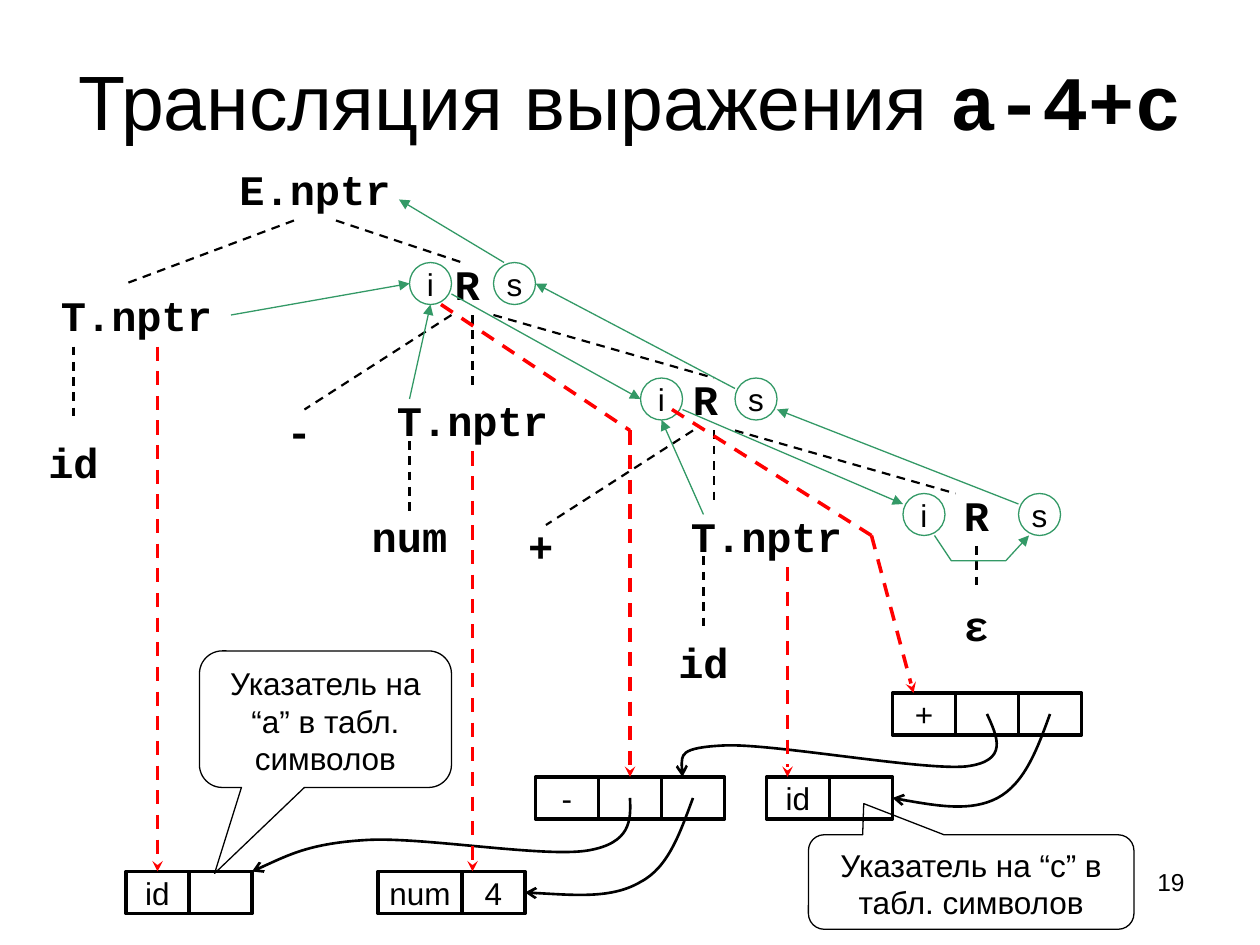
"""Build a slide showing the translation of a-4+c into a syntax tree."""
import pptx
import pptx.dml.color
import pptx.enum.dml
import pptx.enum.shapes
import pptx.enum.text
import pptx.oxml
import pptx.oxml.ns
import pptx.util

BLACK = pptx.dml.color.RGBColor(0x00, 0x00, 0x00)
RED = pptx.dml.color.RGBColor(0xFF, 0x00, 0x00)
GREEN = pptx.dml.color.RGBColor(0x33, 0x99, 0x66)
SHAPE = pptx.enum.shapes.MSO_SHAPE
ALIGN = pptx.enum.text.PP_ALIGN
ANCHOR = pptx.enum.text.MSO_ANCHOR
qn = pptx.oxml.ns.qn


class Sketch:
    """Holds the style and the current slide."""

    scale = 7620
    sans = "Arial"
    mono = "Courier New"

    def __init__(self, page):
        self.page = page

    def emu(self, *lengths):
        return [pptx.util.Emu(length * self.scale) for length in lengths]

    def add_text(self, frame, spans, align=ALIGN.CENTER, anchor=ANCHOR.MIDDLE, wrap=False):
        frame.word_wrap = wrap
        frame.vertical_anchor = anchor
        para = frame.paragraphs[0]
        para.alignment = align
        for text, font, size, bold in spans:
            span = para.add_run()
            span.text = text
            span.font.name = font
            span.font.size = pptx.util.Pt(size)
            span.font.bold = bold
            span.font.color.rgb = BLACK

    def title(self, frame_at, spans):
        box = self.page.shapes.title
        box.left, box.top, box.width, box.height = self.emu(*frame_at)
        frame = box.text_frame
        frame.margin_left = frame.margin_right = 0
        self.add_text(frame, spans, wrap=True)

    def page_number(self, frame_at, text):
        box = self.page.shapes.add_textbox(*self.emu(*frame_at))
        self.add_text(box.text_frame, [(text, self.sans, 14, False)], ALIGN.RIGHT, ANCHOR.TOP, True)

    def symbol(self, text, x, y):
        width = 24 * len(text) + 24
        box = self.page.shapes.add_textbox(*self.emu(x - width // 2, y - 30, width, 60))
        self.add_text(box.text_frame, [(text, self.mono, 24, True)])

    def stroke(self, item, color, width, dashed=False, head=None):
        item.line.color.rgb = color
        item.line.width = pptx.util.Pt(width)
        if dashed:
            item.line.dash_style = pptx.enum.dml.MSO_LINE.DASH
        if head:
            tail = pptx.oxml.parse_xml(f'<a:tailEnd {pptx.oxml.ns.nsdecls("a")} type="{head}"/>')
            item._element.spPr.find(qn("a:ln")).append(tail)

    def outline(self, kind, frame_at, color, width, text="", **layout):
        shape = self.page.shapes.add_shape(kind, *self.emu(*frame_at))
        shape.shadow.inherit = False
        shape.fill.background()
        self.stroke(shape, color, width)
        if text:
            self.add_text(shape.text_frame, [(text, self.sans, 18, False)], **layout)
        return shape

    def circle(self, text, x, y):
        self.outline(SHAPE.OVAL, (x, y, 40, 40), GREEN, 0.75, text)

    def record(self, x, y, labels):
        for label in labels:
            width = 80 if len(label) > 2 else 60
            self.outline(SHAPE.RECTANGLE, (x, y, width, 40), BLACK, 2, label)
            x += width

    def callout(self, frame_at, text, tip):
        shape = self.outline(SHAPE.ROUNDED_RECTANGULAR_CALLOUT, frame_at, BLACK, 0.75, text,
                             anchor=ANCHOR.TOP, wrap=True)
        shape.adjustments[0], shape.adjustments[1] = tip

    def link(self, ends, color, width, dashed=False, head=None):
        straight = pptx.enum.shapes.MSO_CONNECTOR.STRAIGHT
        line = self.page.shapes.add_connector(straight, *self.emu(*ends))
        self.stroke(line, color, width, dashed, head)
        effects = pptx.oxml.parse_xml(f'<a:effectLst {pptx.oxml.ns.nsdecls("a")}/>')
        line._element.spPr.append(effects)

    def route(self, points, color, width, head, curved=False):
        start, *rest = [self.emu(*point) for point in points]
        builder = self.page.shapes.build_freeform(*start)
        builder.add_line_segments(rest, close=False)
        shape = builder.convert_to_shape()
        shape.shadow.inherit = False
        shape.fill.background()
        self.stroke(shape, color, width, head=head)
        if curved:
            steps = list(shape._element.iter(qn("a:lnTo")))
            for first in range(0, len(steps), 3):
                curve = pptx.oxml.parse_xml(f'<a:cubicBezTo {pptx.oxml.ns.nsdecls("a")}/>')
                steps[first].addprevious(curve)
                for step in steps[first:first + 3]:
                    curve.append(step[0])
                    step.getparent().remove(step)


SYMBOLS = [
    ("E.nptr", 300, 180), ("T.nptr", 130, 300), ("id", 70, 440), ("R", 445, 270),
    ("T.nptr", 450, 400), ("-", 285, 410), ("num", 390, 510), ("R", 672, 380),
    ("+", 515, 520), ("T.nptr", 730, 510), ("id", 670, 630), ("R", 930, 490), ("ε", 930, 595),
]
BRANCHES = [
    (280, 210, 120, 270), (320, 210, 440, 250), (70, 330, 70, 400),
    (430, 300, 290, 390), (470, 300, 680, 360), (450, 300, 450, 370), (390, 420, 390, 490),
    (660, 410, 520, 500), (700, 410, 910, 470), (680, 410, 680, 480), (670, 530, 670, 600),
    (930, 520, 930, 560),
]
NODE_POINTERS = [
    ((150, 330, 150, 830), "stealth"), ((450, 430, 450, 830), "stealth"),
    ((420, 290, 600, 410), None), ((600, 410, 600, 740), "stealth"),
    ((640, 390, 830, 510), None), ((830, 510, 870, 660), "stealth"),
    ((750, 540, 750, 740), "stealth"),
]
ATTRIBUTE_FLOWS = [
    (220, 300, 390, 270), (390, 380, 410, 290), (430, 280, 610, 380),
    (670, 490, 630, 400), (650, 390, 860, 480), (480, 250, 380, 190),
    (700, 370, 510, 270), (970, 480, 740, 390),
]
CIRCLES = [
    ("i", 390, 250), ("s", 470, 250), ("i", 610, 360),
    ("s", 700, 360), ("i", 860, 470), ("s", 970, 470),
]
RECORDS = [
    (120, 830, ["id", ""]), (360, 830, ["num", "4"]), (510, 740, ["-", "", ""]),
    (730, 740, ["id", ""]), (850, 660, ["+", "", ""]),
]
CHILD_POINTERS = [
    [(940, 680), (950, 702), (961, 725), (920, 730), (878, 734),
     (736, 708), (690, 710), (646, 712), (648, 726), (650, 740)],
    [(1000, 680), (988, 713), (976, 746), (950, 760), (925, 773), (888, 767), (850, 760)],
    [(660, 760), (648, 792), (637, 826), (610, 840), (583, 856), (541, 852), (500, 850)],
    [(600, 760), (601, 781), (601, 803), (560, 810), (518, 817),
     (403, 797), (350, 800), (296, 803), (269, 817), (240, 830)],
]


def main():
    deck = pptx.Presentation()
    deck.slide_width, deck.slide_height = pptx.util.Inches(10), pptx.util.Inches(7.5)
    sketch = Sketch(deck.slides.add_slide(deck.slide_layouts[5]))
    sketch.title((60, 20, 1080, 150), [("Трансляция выражения ", sketch.sans, 44, False),
                                       ("a-4+c", sketch.mono, 44, True)])
    sketch.page_number((860, 820, 280, 62), "19")
    for symbol in SYMBOLS:
        sketch.symbol(*symbol)
    for ends in BRANCHES:
        sketch.link(ends, BLACK, 1.25, dashed=True)
    for record in RECORDS:
        sketch.record(*record)
    for points in CHILD_POINTERS:
        sketch.route(points, BLACK, 1.5, "arrow", curved=True)
    sketch.callout((190, 620, 240, 130), "Указатель на “a” в табл. символов", (-0.44, 1.13))
    sketch.callout((770, 795, 310, 90), "Указатель на “с” в табл. символов", (-0.33, -0.83))
    for circle in CIRCLES:
        sketch.circle(*circle)
    for ends, head in NODE_POINTERS:
        sketch.link(ends, RED, 2, dashed=True, head=head)
    for ends in ATTRIBUTE_FLOWS:
        sketch.link(ends, GREEN, 0.75, head="triangle")
    sketch.route([(890, 510), (906, 534), (958, 534), (980, 510)], GREEN, 0.75, "triangle")
    deck.save("out.pptx")


if __name__ == "__main__":
    main()
